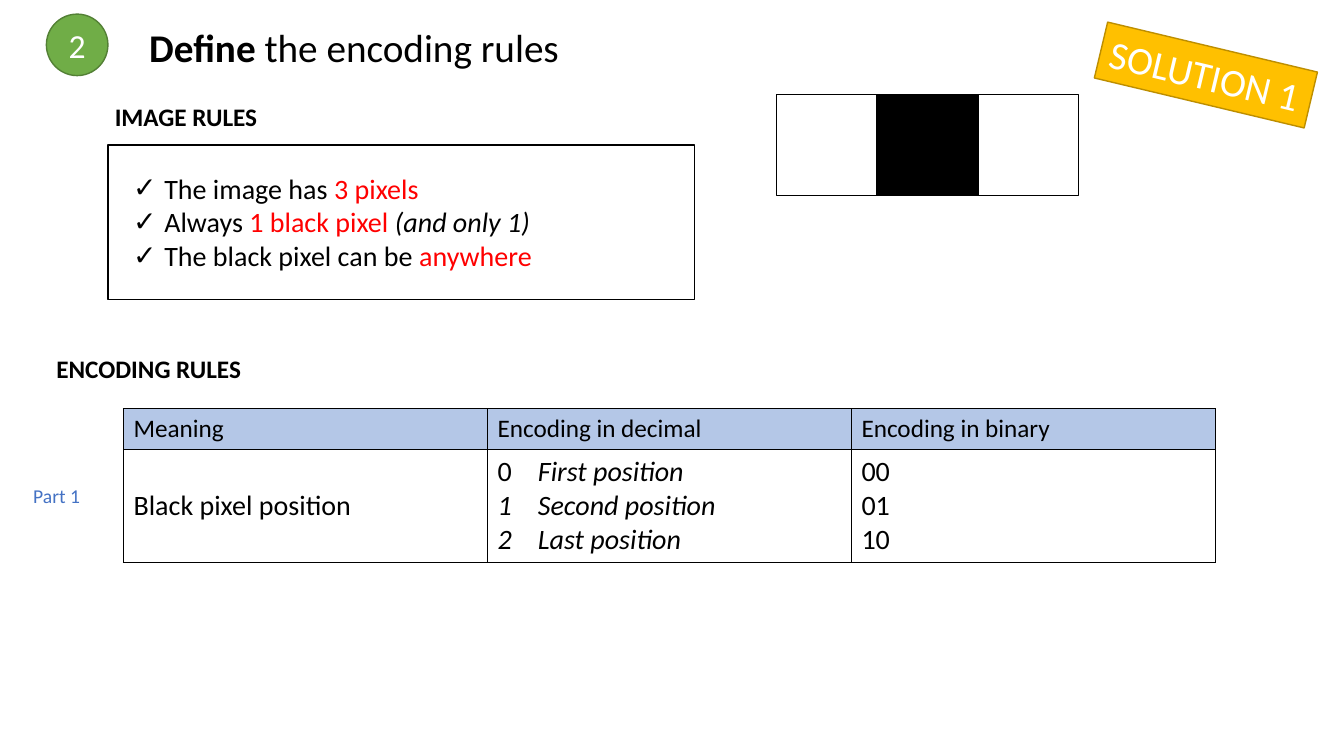
import pptx
import pptx.util
import pptx.dml.color
import pptx.enum.shapes
import pptx.enum.text
import pptx.oxml.ns
import lxml.etree
from dataclasses import dataclass

Pt = pptx.util.Pt
Shape = pptx.enum.shapes.MSO_SHAPE
Anchor = pptx.enum.text.MSO_ANCHOR
Align = pptx.enum.text.PP_ALIGN


@dataclass(frozen=True)
class Theme:
    font: str = "Calibri"
    ink: str = "000000"
    paper: str = "FFFFFF"
    accent: str = "FF0000"
    row_label: str = "4472C4"
    header: str = "B4C7E7"
    step: str = "70AD47"
    step_line: str = "538035"
    badge: str = "FFC000"
    badge_line: str = "BD8E00"
    title_size: int = 28
    step_size: int = 24
    body_size: int = 20
    label_size: int = 18
    small_size: int = 14
    line: int = 1


theme = Theme()

# Content: a paragraph is a list of (text, format) runs
RED = {"color": theme.accent}
BOLD = {"bold": True}
ITALIC = {"italic": True}

title = [("Define", BOLD), (" the encoding rules", {})]
image_rules = [
    [("The image has ", {}), ("3 pixels", RED)],
    [("Always ", {}), ("1 black pixel ", RED), ("(and only 1)", ITALIC)],
    [("The black pixel can be ", {}), ("anywhere", RED)],
]
table_header = ["Meaning", "Encoding in decimal", "Encoding in binary"]
table_body = [
    [[("Black pixel position", {})]],
    [[("0", {}), ("\tFirst position", ITALIC)],
     [("1\tSecond position", ITALIC)],
     [("2\tLast position", ITALIC)]],
    [[(code, {})] for code in ("00", "01", "10")],
]
pixels = [theme.paper, theme.ink, theme.paper]

# Places: left, top, width, height in percent of the slide
TITLE = (10.35, 2.4, 33.76, 7.6)
RULE_LIST = (9.15, 22, 31.8, 14.8)
RULE_FRAME = (8.03, 19.2, 43.66, 20.4)
STEP = (3.45, 1.87, 4.58, 8.13)
BADGE = (81.7, 6.13, 16.05, 7.6)
TABLE = (9.19, 54.07, 81.25, 20)
ROW_SHARES = (0.27, 0.73)
PIXEL = (57.76, 12.53, 7.5, 13.33)
labels = [
    ("IMAGE RULES", (7.8, 12.8, 12.23, 5.33), theme.label_size, BOLD),
    ("ENCODING RULES", (3.45, 46.13, 15.45, 5.33), theme.label_size, BOLD),
    ("Part 1", (1.73, 63.33, 5.03, 4.53), theme.small_size, {"color": theme.row_label}),
]

presentation = pptx.Presentation()
presentation.slide_width = pptx.util.Inches(13.33)
presentation.slide_height = pptx.util.Inches(7.5)
slide = presentation.slides.add_slide(presentation.slide_layouts[1])


def rgb(color):
    return pptx.dml.color.RGBColor.from_string(color)


def place(box):
    left, top, width, height = (share / 100 for share in box)
    return (int(left * presentation.slide_width), int(top * presentation.slide_height),
            int(width * presentation.slide_width), int(height * presentation.slide_height))


def move(shape, box):
    for name, value in zip(("left", "top", "width", "height"), place(box)):
        setattr(shape, name, value)


def write(frame, paragraphs, size, color=theme.ink, align=Align.LEFT):
    for index, runs in enumerate(paragraphs):
        paragraph = frame.paragraphs[0] if index == 0 else frame.add_paragraph()
        layout = {"alignment": align, "line_spacing": 1.0,
                  "space_before": Pt(0), "space_after": Pt(0)}
        for name, value in layout.items():
            setattr(paragraph, name, value)
        for text, style in runs:
            run = paragraph.add_run()
            run.text = text
            font = {"name": theme.font, "size": Pt(size), "bold": False, "italic": False, **style}
            run.font.color.rgb = rgb(font.pop("color", color))
            for name, value in font.items():
                setattr(run.font, name, value)


def add_element(parent, tag, **attributes):
    return lxml.etree.SubElement(parent, pptx.oxml.ns.qn(tag), attributes)


def add_block(kind, box, fill, line):
    shape = slide.shapes.add_shape(kind, *place(box))
    shape.shadow.inherit = False
    if fill:
        shape.fill.solid()
        shape.fill.fore_color.rgb = rgb(fill)
    else:
        shape.fill.background()
    shape.line.color.rgb = rgb(line)
    shape.line.width = Pt(theme.line)
    return shape


def set_frame(frame, wrap, anchor):
    frame.word_wrap = wrap
    frame.auto_size = pptx.enum.text.MSO_AUTO_SIZE.NONE
    frame.vertical_anchor = anchor


def format_cell(cell, paragraphs, size, fill=None):
    properties = cell._tc.get_or_add_tcPr()
    for side in ("a:lnL", "a:lnR", "a:lnT", "a:lnB"):
        border = add_element(properties, side, w=str(Pt(theme.line)))
        add_element(add_element(border, "a:solidFill"), "a:srgbClr", val=theme.ink)
    if fill:
        cell.fill.solid()
        cell.fill.fore_color.rgb = rgb(fill)
    else:
        cell.fill.background()
    cell.vertical_anchor = Anchor.MIDDLE
    write(cell.text_frame, paragraphs, size)


# Title and checklist
heading, checklist = slide.shapes.title, slide.placeholders[1]
for placeholder, box, paragraphs, size in (
        (heading, TITLE, [title], theme.title_size),
        (checklist, RULE_LIST, image_rules, theme.body_size)):
    move(placeholder, box)
    set_frame(placeholder.text_frame, True, Anchor.TOP)
    write(placeholder.text_frame, paragraphs, size)
indent = pptx.util.Inches(0.31)
for paragraph in checklist.text_frame.paragraphs:
    properties = paragraph._p.get_or_add_pPr()
    properties.set("marL", str(indent))
    properties.set("indent", str(-indent))
    add_element(properties, "a:buChar", char="✓")

# Encoding table
table = slide.shapes.add_table(2, len(table_header), *place(TABLE)).table
table.first_row = table.horz_banding = False
for row, share in zip(table.rows, ROW_SHARES):
    row.height = int(place(TABLE)[3] * share)
for column, (name, paragraphs) in enumerate(zip(table_header, table_body)):
    format_cell(table.cell(0, column), [[(name, {})]], theme.label_size, theme.header)
    format_cell(table.cell(1, column), paragraphs, theme.body_size)
for paragraph in table.cell(1, 1).text_frame.paragraphs:
    tabs = add_element(paragraph._p.get_or_add_pPr(), "a:tabLst")
    add_element(tabs, "a:tab", pos=str(pptx.util.Inches(0.4)), algn="l")

# Labels
for text, box, size, style in labels:
    label = slide.shapes.add_textbox(*place(box))
    set_frame(label.text_frame, False, Anchor.TOP)
    write(label.text_frame, [[(text, style)]], size)

# Step number, rule frame and badge
step = add_block(Shape.OVAL, STEP, theme.step, theme.step_line)
set_frame(step.text_frame, True, Anchor.MIDDLE)
write(step.text_frame, [[("2", {})]], theme.step_size, theme.paper, Align.CENTER)
add_block(Shape.RECTANGLE, RULE_FRAME, None, theme.ink)
badge = add_block(Shape.RECTANGLE, BADGE, theme.badge, theme.badge_line)
badge.rotation = 13.4
set_frame(badge.text_frame, False, Anchor.TOP)
write(badge.text_frame, [[("SOLUTION 1", {})]], theme.title_size, theme.paper)

# Row of pixels
left, top, width, height = PIXEL
for index, fill in enumerate(pixels):
    add_block(Shape.RECTANGLE, (left + index * width, top, width, height), fill, theme.ink)

presentation.save("out.pptx")
